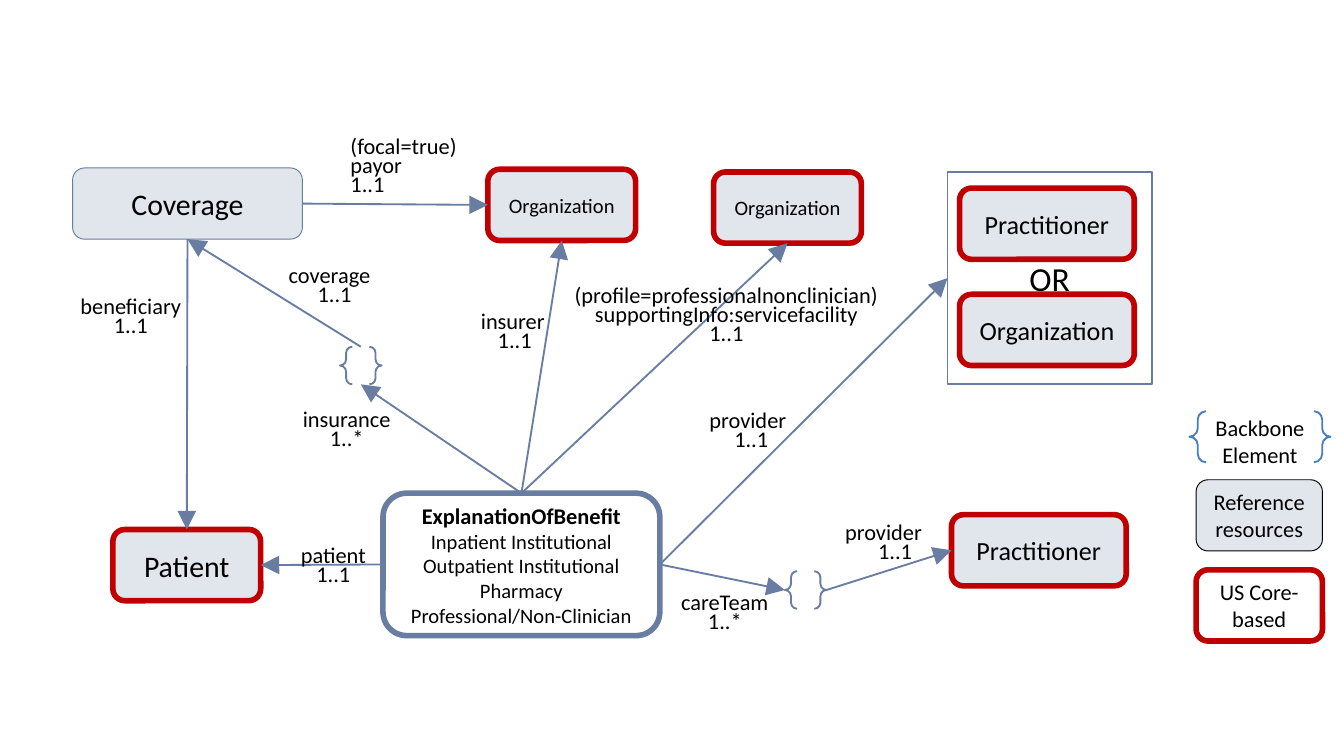
from dataclasses import dataclass

from lxml.etree import SubElement
from pptx import Presentation
from pptx.dml.color import RGBColor
from pptx.enum.shapes import MSO_CONNECTOR, MSO_SHAPE
from pptx.enum.text import MSO_ANCHOR, MSO_AUTO_SIZE, PP_ALIGN
from pptx.oxml.ns import qn
from pptx.util import Inches, Pt


@dataclass(frozen=True)
class Theme:
    font: str = "Calibri"
    text: str = "000000"
    white: str = "FFFFFF"
    resource: str = "E1E5EC"
    slate: str = "687DA1"
    core: str = "C00000"
    legend_blue: str = "4B7EBC"
    tiny: int = 11
    small: int = 12
    medium: int = 14
    large: int = 16
    huge: int = 18
    hairline: float = 0.5
    thin: float = 1
    thick: float = 3
    tight: float = 0.7


THEME = Theme()
TOP, LEFT, BOTTOM, RIGHT = range(4)
CENTER = PP_ALIGN.CENTER


def color(value):
    return RGBColor.from_string(value)


def add_span(para, text, size, bold=False):
    span = para.add_run()
    span.text = text
    span.font.name = THEME.font
    span.font.size = Pt(size)
    span.font.bold = bold
    span.font.color.rgb = color(THEME.text)


def next_para(frame, index):
    return frame.add_paragraph() if index else frame.paragraphs[0]


def add_box(page, place, lines=(), size=THEME.small, fill=None, line=THEME.slate,
            width=THEME.thin, kind=MSO_SHAPE.ROUNDED_RECTANGLE, heading=None):
    box = page.shapes.add_shape(kind, *map(Inches, place))
    box.shadow.inherit = False
    if fill:
        box.fill.solid()
        box.fill.fore_color.rgb = color(fill)
    else:
        box.fill.background()
    box.line.color.rgb = color(line)
    box.line.width = Pt(width)
    frame = box.text_frame
    frame.word_wrap = True
    frame.vertical_anchor = MSO_ANCHOR.MIDDLE
    frame.margin_left = frame.margin_right = Inches(0.05)
    spans = [(heading, THEME.small, True)] if heading else []
    spans += [(text, size, False) for text in lines]
    for index, span in enumerate(spans):
        para = next_para(frame, index)
        para.alignment = CENTER
        add_span(para, *span)
    return box


def add_core_box(page, left, top, width, text, size):
    return add_box(page, (left, top, width, 0.53), [text], size,
                   THEME.resource, THEME.core, THEME.thick)


def add_braces(page, place, line=THEME.slate):
    braces = add_box(page, place, line=line, kind=MSO_SHAPE.DOUBLE_BRACE)
    braces.adjustments[0] = 0.163
    return braces


def add_arrow(page, start, start_side, end, end_side):
    arrow = page.shapes.add_connector(MSO_CONNECTOR.STRAIGHT, 0, 0, 0, 0)
    arrow.begin_connect(start, start_side)
    arrow.end_connect(end, end_side)
    arrow.line.color.rgb = color(THEME.slate)
    arrow.line.width = Pt(THEME.thin)
    SubElement(arrow.line._get_or_add_ln(), qn("a:tailEnd"),
               type="triangle", w="lg", len="lg")
    SubElement(arrow._element.spPr, qn("a:effectLst"))


def add_label(page, place, lines, first=PP_ALIGN.LEFT, rest=CENTER, wrap=True):
    label = page.shapes.add_textbox(*map(Inches, place))
    frame = label.text_frame
    frame.word_wrap = wrap
    frame.auto_size = MSO_AUTO_SIZE.SHAPE_TO_FIT_TEXT
    for index, text in enumerate(lines):
        para = next_para(frame, index)
        para.alignment = rest if index else first
        para.line_spacing = THEME.tight
        add_span(para, text, THEME.small)


def add_legend(page):
    braces = add_braces(page, (8.85, 3.06, 1.05, 0.38), THEME.legend_blue)
    para = braces.text_frame.paragraphs[0]
    para.alignment = CENTER
    add_span(para, "Backbone", THEME.small)
    para.add_line_break()
    add_span(para, "Element", THEME.small)
    add_box(page, (8.9, 3.57, 0.94, 0.53), ["Reference", "resources"],
            fill=THEME.resource, line=THEME.text, width=THEME.hairline)
    add_box(page, (8.9, 4.24, 0.94, 0.53), ["US Core-based"],
            line=THEME.core, width=THEME.thick)


def add_labels(page):
    add_label(page, (2.51, 0.99, 2.4, 0.53), ["(focal=true)", "payor", "1..1"],
              rest=PP_ALIGN.LEFT)
    add_label(page, (4.06, 2.1, 2.69, 0.53),
              ["(profile=professionalnonclinician)",
               "supportingInfo:servicefacility", "1..1"], first=CENTER)
    for left, top, width, name, count, first, wrap in (
        (0.5, 2.18, 0.95, "beneficiary", "1..1", PP_ALIGN.LEFT, False),
        (2.15, 3.02, 0.86, "insurance", "1..*", CENTER, False),
        (4.97, 4.38, 0.87, "careTeam", "1..*", PP_ALIGN.LEFT, False),
        (2.14, 4.03, 0.69, "patient", "1..1", PP_ALIGN.LEFT, False),
        (5.18, 3.03, 0.82, "provider", "1..1", PP_ALIGN.LEFT, True),
        (6.19, 3.86, 0.94, "provider", "1..1", PP_ALIGN.LEFT, True),
        (3.48, 2.29, 0.7, "insurer", "1..1", PP_ALIGN.LEFT, True),
        (2.05, 1.95, 0.88, "coverage", "1..1", PP_ALIGN.LEFT, True),
    ):
        add_label(page, (left, top, width, 0.39), [name, count], first, wrap=wrap)


def main():
    deck = Presentation()
    deck.slide_width = Inches(10)
    deck.slide_height = deck.slide_width * 9 // 16
    page = deck.slides.add_slide(deck.slide_layouts[6])

    choice = add_box(page, (7.05, 1.28, 1.52, 1.58), ["OR"], THEME.huge,
                     THEME.white, kind=MSO_SHAPE.RECTANGLE)
    add_core_box(page, 7.14, 1.4, 1.3, "Practitioner", THEME.medium)
    add_core_box(page, 7.14, 2.19, 1.3, "Organization", THEME.medium)
    benefit = add_box(page, (2.85, 3.67, 2.06, 1.06),
                      ["Inpatient Institutional", "Outpatient Institutional",
                       "Pharmacy", "Professional/Non-Clinician"],
                      THEME.tiny, width=THEME.thick, heading="ExplanationOfBenefit")
    coverage = add_box(page, (0.54, 1.25, 1.71, 0.53), ["Coverage"], THEME.large,
                       THEME.resource, width=THEME.hairline)
    patient = add_core_box(page, 0.84, 3.94, 1.1, "Patient", THEME.large)
    payor = add_core_box(page, 3.63, 1.26, 1.1, "Organization", THEME.tiny)
    facility = add_core_box(page, 5.31, 1.28, 1.1, "Organization", THEME.tiny)
    member = add_core_box(page, 7.08, 3.83, 1.3, "Practitioner", THEME.medium)
    insurance = add_braces(page, (2.53, 2.58, 0.31, 0.28))
    care_team = add_braces(page, (5.84, 4.25, 0.31, 0.28))

    for link in (
        (benefit, LEFT, patient, RIGHT),
        (benefit, TOP, insurance, BOTTOM),
        (insurance, TOP, coverage, BOTTOM),
        (coverage, BOTTOM, patient, TOP),
        (coverage, RIGHT, payor, LEFT),
        (benefit, TOP, payor, BOTTOM),
        (benefit, TOP, facility, BOTTOM),
        (benefit, RIGHT, choice, LEFT),
        (benefit, RIGHT, care_team, LEFT),
        (care_team, RIGHT, member, LEFT),
    ):
        add_arrow(page, *link)

    add_labels(page)
    add_legend(page)
    deck.save("out.pptx")


if __name__ == "__main__":
    main()
